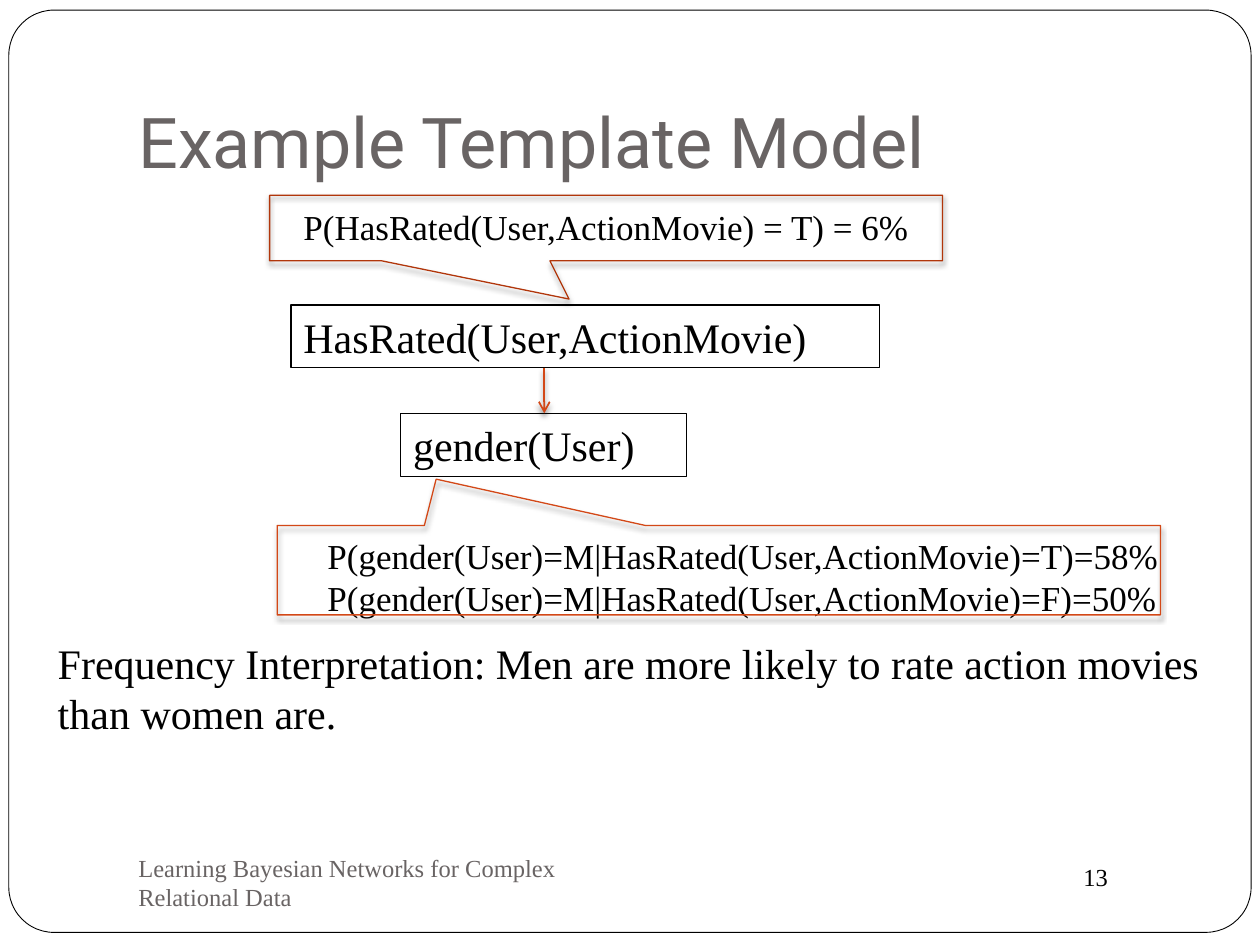
from pptx import Presentation
from pptx.dml.color import RGBColor
from pptx.enum.shapes import MSO_CONNECTOR, MSO_SHAPE
from pptx.enum.text import MSO_ANCHOR, PP_ALIGN
from pptx.oxml import parse_xml
from pptx.oxml.ns import nsdecls
from pptx.util import Inches, Pt

COLORS = {
    "white": "FFFFFF",
    "black": "000000",
    "gray": "696464",
    "orange": "D34817",
    "rust": "B1360B",
}
SERIF = "Times New Roman"

FRAME = (0.07, 0.08, 9.86, 7.32)
TITLE = ("Example Template Model", (1, 0.3, 8.5, 1.25))
FOOTER = ("Learning Bayesian Networks for Complex Relational Data", (1, 6.75, 4.33, 0.5))
PAGE_NUMBER = ("13", (8.5, 6.79, 1, 0.34))
NODES = [
    ("HasRated(User,ActionMovie)", (2.31, 2.42, 4.67, 0.5)),
    ("gender(User)", (3.18, 3.28, 2.27, 0.5)),
]
ARROW_X = 4.32
CALLOUTS = [
    ((2.14, 1.55, 5.34, 0.52), (-0.055, 1.083), "rust"),
    ((2.2, 4.17, 7.01, 0.71), (-0.32, -1.018), "orange"),
]
PROBABILITIES = [
    (["P(HasRated(User,ActionMovie) = T) = 6%"], (2.31, 1.58, 5.5, 0.44)),
    (
        [
            "P(gender(User)=M|HasRated(User,ActionMovie)=T)=58%",
            "P(gender(User)=M|HasRated(User,ActionMovie)=F)=50%",
        ],
        (2.5, 4.19, 7.18, 0.77),
    ),
]
INTERPRETATION = (
    "Frequency Interpretation: Men are more likely to rate action movies than women are.",
    (0.36, 5.01, 9.32, 0.91),
)


def color(name):
    return RGBColor.from_string(COLORS[name])


def write(shape, lines, size, font=SERIF, ink="black", anchor=MSO_ANCHOR.TOP):
    frame = shape.text_frame
    frame.word_wrap = True
    frame.vertical_anchor = anchor
    frame.text = "\n".join(lines)
    for paragraph in frame.paragraphs:
        paragraph.alignment = PP_ALIGN.LEFT
        paragraph.font.size = Pt(size)
        paragraph.font.name = font
        paragraph.font.color.rgb = color(ink)


def add_text(slide, lines, box, size, **style):
    shape = slide.shapes.add_textbox(*map(Inches, box))
    write(shape, lines, size, **style)
    return shape


def add_outline(slide, kind, box, line_color, width, fill=None, adjustments=()):
    shape = slide.shapes.add_shape(kind, *map(Inches, box))
    for index, value in enumerate(adjustments):
        shape.adjustments[index] = value
    if fill:
        shape.fill.solid()
        shape.fill.fore_color.rgb = color(fill)
    else:
        shape.fill.background()
    shape.line.color.rgb = color(line_color)
    shape.line.width = Pt(width)
    shape.shadow.inherit = False
    return shape


def add_shadow(shape):
    properties = shape._element.spPr
    for effects in properties.findall("{*}effectLst"):
        properties.remove(effects)
    properties.append(parse_xml(
        f'<a:effectLst {nsdecls("a")}>'
        f'<a:outerShdw blurRad="{Pt(3)}" dist="{Pt(2)}" dir="5400000" rotWithShape="0">'
        f'<a:srgbClr val="{COLORS["black"]}"><a:alpha val="50000"/></a:srgbClr>'
        '</a:outerShdw></a:effectLst>'
    ))


def add_arrow(slide, x, top, bottom):
    arrow = slide.shapes.add_connector(
        MSO_CONNECTOR.STRAIGHT, Inches(x), Inches(top), Inches(x), Inches(bottom)
    )
    arrow.line.color.rgb = color("orange")
    arrow.line.width = Pt(1)
    arrow.line._get_or_add_ln().append(
        parse_xml(f'<a:tailEnd {nsdecls("a")} type="arrow"/>')
    )
    add_shadow(arrow)


def main():
    presentation = Presentation()
    presentation.slide_width, presentation.slide_height = Inches(10), Inches(7.5)
    slide = presentation.slides.add_slide(presentation.slide_layouts[6])

    add_outline(slide, MSO_SHAPE.ROUNDED_RECTANGLE, FRAME, "black", 0.5, "white", [0.049])
    add_text(slide, [PAGE_NUMBER[0]], PAGE_NUMBER[1], 14)
    title = add_text(slide, [TITLE[0]], TITLE[1], 40,
                     font="Roboto", ink="gray", anchor=MSO_ANCHOR.BOTTOM)
    title.text_frame.margin_bottom = Inches(0.1)
    add_text(slide, [FOOTER[0]], FOOTER[1], 14, ink="gray", anchor=MSO_ANCHOR.MIDDLE)

    for label, box in NODES:
        write(add_outline(slide, MSO_SHAPE.RECTANGLE, box, "black", 0.75), [label], 24)
    (_, parent), (_, child) = NODES
    add_arrow(slide, ARROW_X, parent[1] + parent[3], child[1])

    for (lines, text_box), (box, pointer, line_color) in zip(PROBABILITIES, CALLOUTS):
        add_text(slide, lines, text_box, 20)
        add_shadow(add_outline(slide, MSO_SHAPE.RECTANGULAR_CALLOUT, box,
                               line_color, 0.75, adjustments=pointer))
    add_text(slide, [INTERPRETATION[0]], INTERPRETATION[1], 24)

    presentation.save("out.pptx")


if __name__ == "__main__":
    main()
